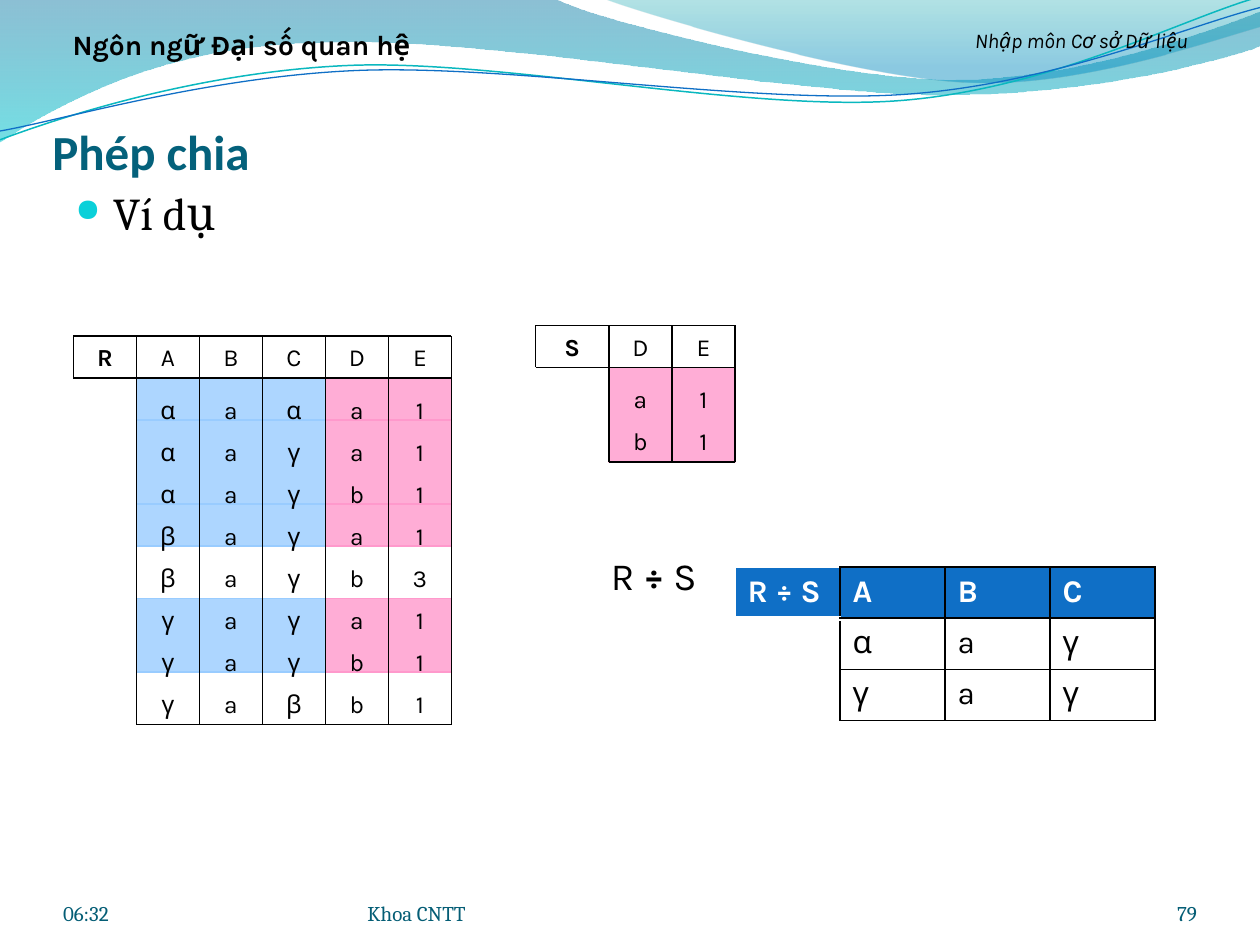
from dataclasses import dataclass

from lxml.etree import SubElement as Sub
from pptx import Presentation
from pptx.dml.color import RGBColor
from pptx.enum.shapes import MSO_CONNECTOR as Link, MSO_SHAPE as Form
from pptx.enum.text import MSO_ANCHOR as Anchor, MSO_AUTO_SIZE as Fit, PP_ALIGN as Align
from pptx.oxml.ns import qn
from pptx.util import Inches, Pt


@dataclass(frozen=True)
class Theme:
    ink: str = "000000"
    white: str = "FFFFFF"
    title: str = "04617B"
    foot: str = "045D75"
    bullet: str = "0BD0D9"
    head: str = "0F6FC6"
    teal: str = "0AB8BF"
    blue: str = "99CCFF"
    pink: str = "FF99CC"
    sans: str = "Karla"
    serif: str = "Cambria"
    bold: str = "Calibri"
    small: int = 12
    cell: int = 14
    label: int = 16
    grid: int = 18
    sum: int = 22
    body: int = 26
    top: int = 28


T = Theme()
ROW = 4  # row height in grid units


@dataclass
class Table:
    name: str
    left: int
    top: int
    lead: int  # width of the name cell
    heads: str
    rows: list[str]


@dataclass
class Wave:
    start: tuple
    steps: list[tuple]  # two numbers: straight line, six: Bézier curve
    stops: tuple = ()
    line: tuple = ()


def u(n: float) -> int:
    """The slide is a grid of 120 columns by 90 rows."""
    return Inches(n / 12)


def rgb(hex: str) -> RGBColor:
    return RGBColor.from_string(hex)


def fade(shape, *shares: int) -> None:
    """Set the opacity of the fill colours in order."""
    for node, share in zip(shape._element.spPr.iter(qn("a:srgbClr")), shares):
        Sub(node, qn("a:alpha"), val=str(share * 1000))


def style(frame, text, size=T.cell, color=T.ink, font=T.sans, bold=False,
          italic=False, align=Align.LEFT) -> None:
    """Text is a string, or a list of (string, bold) runs."""
    para = frame.paragraphs[0]
    para.alignment = align
    for part, heavy in [(text, bold)] if isinstance(text, str) else text:
        run = para.add_run()
        run.text = part
        face = run.font
        face.size, face.name, face.bold, face.italic = Pt(size), font, heavy, italic
        face.color.rgb = rgb(color)


def write(slide, box, text, anchor=Anchor.TOP, pad=None, grow=False, dot=False, **fmt):
    frame = slide.shapes.add_textbox(*map(u, box)).text_frame
    frame.word_wrap = True
    frame.vertical_anchor = anchor
    frame.auto_size = Fit.SHAPE_TO_FIT_TEXT if grow else Fit.NONE
    if pad is not None:
        frame.margin_left = frame.margin_right = 0
        frame.margin_top = frame.margin_bottom = u(pad)
    if dot:
        props = frame.paragraphs[0]._p.get_or_add_pPr()
        props.set("marL", str(Inches(0.3)))
        props.set("indent", str(-Inches(0.3)))
        Sub(Sub(props, qn("a:buClr")), qn("a:srgbClr"), val=T.bullet)
        Sub(props, qn("a:buSzPct"), val="70000")
        Sub(props, qn("a:buChar"), char="●")
    style(frame, text, **fmt)


def rule(slide, x1: float, y1: float, x2: float, y2: float) -> None:
    line = slide.shapes.add_connector(Link.STRAIGHT, u(x1), u(y1), u(x2), u(y2))
    line.line.color.rgb = rgb(T.ink)
    line.line.width = Pt(1)
    Sub(line._element.spPr, qn("a:effectLst"))


def band(slide, x: float, y: float, w: float, h: float, color: str) -> None:
    box = slide.shapes.add_shape(Form.RECTANGLE, u(x), u(y), u(w), u(h))
    box.shadow.inherit = False
    box.fill.solid()
    box.fill.fore_color.rgb = box.line.color.rgb = rgb(color)
    box.line.width = Pt(1)
    fade(box, 80)


def bend(shape, steps: list[tuple]) -> None:
    """Turn the straight segments that have control points into curves."""
    for node, step in zip(list(shape._element.spPr.iter(qn("a:lnTo"))), steps):
        if len(step) == 6:
            node.tag = qn("a:cubicBezTo")
            for i in (0, 1):
                x, y = map(Inches, step[2 * i:2 * i + 2])
                knot = Sub(node, qn("a:pt"), x=str(x - shape.left), y=str(y - shape.top))
                node.insert(i, knot)


def swoosh(slide, wave: Wave) -> None:
    pen = slide.shapes.build_freeform(*map(Inches, wave.start))
    ends = [tuple(map(Inches, step[-2:])) for step in wave.steps]
    pen.add_line_segments(ends, close=bool(wave.stops))
    shape = pen.convert_to_shape()
    bend(shape, wave.steps)
    shape.shadow.inherit = False
    if wave.stops:
        shape.line.fill.background()
        shape.fill.gradient()
        shape.fill.gradient_angle = 270
        for stop, (place, color, _) in zip(shape.fill.gradient_stops, wave.stops):
            stop.position, stop.color.rgb = place, rgb(color)
        fade(shape, *(share for *_, share in wave.stops))
    else:
        shape.fill.background()
        shape.line.color.rgb, shape.line.width = rgb(wave.line[0]), Pt(wave.line[1])


def relation(slide, tab: Table, wide: int = 6) -> None:
    first, under, body = tab.left + tab.lead, tab.top + ROW, tab.top + ROW + 1
    right, end = first + wide * len(tab.heads), body + ROW * len(tab.rows)
    write(slide, (tab.left, tab.top, tab.lead, ROW), tab.name, grow=True,
          bold=True, align=Align.CENTER)
    tops = [tab.top] + [body + ROW * i for i in range(len(tab.rows))]
    for y, row in zip(tops, [tab.heads] + tab.rows):
        for i, mark in enumerate(row):
            write(slide, (first + wide * i, y, wide, ROW), mark, grow=True, align=Align.CENTER)
    for x, y in ((tab.left, tab.top), (tab.left, under), (first, end)):
        rule(slide, x, y, right, y)
    rule(slide, tab.left, tab.top, tab.left, under)
    for x in range(first, right + 1, wide):
        rule(slide, x, tab.top, x, end)


def edge(cell, sides: dict) -> None:
    props = cell._tc.get_or_add_tcPr()
    for i, side in enumerate("LRTB"):
        color, width = sides.get(side, (T.ink, 1))
        line = Sub(props, qn(f"a:ln{side}"), w=str(Pt(width)))
        Sub(Sub(line, qn("a:solidFill")), qn("a:srgbClr"), val=color)
        props.insert(i, line)


def quotient(slide, rows: list[list[str]]) -> None:
    size = len(rows), len(rows[0])
    table = slide.shapes.add_table(*size, u(70), u(54), u(40), Inches(1.22)).table
    table.horz_banding = False
    for r, row in enumerate(rows):
        for c, text in enumerate(row):
            cell = table.cell(r, c)
            if r == 0:
                cell.fill.solid()
                cell.fill.fore_color.rgb = rgb(T.head)
            else:
                cell.fill.background()
            if text:
                style(cell.text_frame, text, size=T.grid, bold=r == 0,
                      color=T.ink if r else T.white)
            pale = (T.white, 1)
            edge(cell, {} if c else {"L": pale, "T": pale, "B": (T.white, 1 if r else 3)})


WAVES = [
    Wave((0, -.01), [(4.4, -.01), (4.76, .17, 6.64, .63, 7.58, .63),
                     (8.53, .63, 9.58, .26, 10, .09), (10.01, .36),
                     (9.83, .44, 8.7, .76, 7.46, .75), (6.22, .75, 3.82, .28, 2.57, .34),
                     (1.29, .35, .46, .83, -.01, 1.13)],
         stops=((0, "0074A1", 45), (1, "00C6CF", 55))),
    Wave((4.79, -.01), [(5.09, .11, 6.82, .62, 7.69, .65), (8.56, .69, 9.61, .32, 10, .21),
                        (10, 0)],
         stops=((0, "00A1A9", 30), (.8, "008BBF", 45))),
    Wave((0, 1.11), [(.48, .93, 1.58, .57, 2.77, .52), (3.95, .47, 5.93, .89, 7.13, .8),
                     (8.33, .71, 9.38, .15, 9.98, -.02)], line=(T.teal, .85)),
    Wave((0, 1.04), [(.47, .96, 1.64, .61, 2.83, .56), (4.03, .51, 5.97, .83, 7.17, .75),
                     (8.36, .67, 9.41, .21, 10, .06)], line=(T.head, .75)),
]


def main() -> None:
    deck = Presentation()
    deck.slide_width, deck.slide_height = u(120), u(90)
    slide = deck.slides.add_slide(deck.slide_layouts[6])

    # Wavy header
    for wave in WAVES:
        swoosh(slide, wave)

    # Title and bullet
    write(slide, (5, 9, 112, 8.2), "Phép chia", anchor=Anchor.BOTTOM, pad=0,
          size=T.top, color=T.title, font=T.bold, bold=True)
    write(slide, (6, 17, 108, 68), "Ví dụ", dot=True, size=T.body, font=T.serif)

    # Footer
    for x, w, text, side in ((6, 28, "06:32", Align.LEFT), (35, 44, "Khoa CNTT", Align.LEFT),
                             (104, 10, "79", Align.RIGHT)):
        write(slide, (x, 83.4, w, 4.8), text, anchor=Anchor.BOTTOM, pad=0,
              size=T.small, color=T.foot, font=T.serif, align=side)

    # Coloured bands behind the matching rows
    for y, h in ((57, 7), (48, 4), (40, 8), (36, 4)):
        band(slide, 13, y, 18, h, T.blue)
        band(slide, 31, y, 12, h, T.pink)
    band(slide, 58, 35, 12, 9, T.pink)

    # Relations R and S
    relation(slide, Table("R", 7, 32, 6, "ABCDE", [
        "αaαa1", "αaγa1", "αaγb1", "βaγa1", "βaγb3", "γaγa1", "γaγb1", "γaβb1"]))
    relation(slide, Table("S", 51, 31, 7, "DE", ["a1", "b1"]))

    # Quotient
    write(slide, (57, 52, 14, 5.6), [("R ", False), ("÷", True), (" S", False)],
          grow=True, size=T.sum)
    quotient(slide, [["R ÷ S", *"ABC"], ["", *"αaγ"], ["", *"γaγ"]])

    # Running heads
    write(slide, (86, 2, 34, 4.5), "Nhập môn Cơ sở Dữ liệu", grow=True,
          size=T.small, italic=True, align=Align.CENTER)
    write(slide, (3, 2, 40, 4.5), "Ngôn ngữ Đại số quan hệ", grow=True,
          size=T.label, bold=True, align=Align.CENTER)
    deck.save("out.pptx")


if __name__ == "__main__":
    main()
